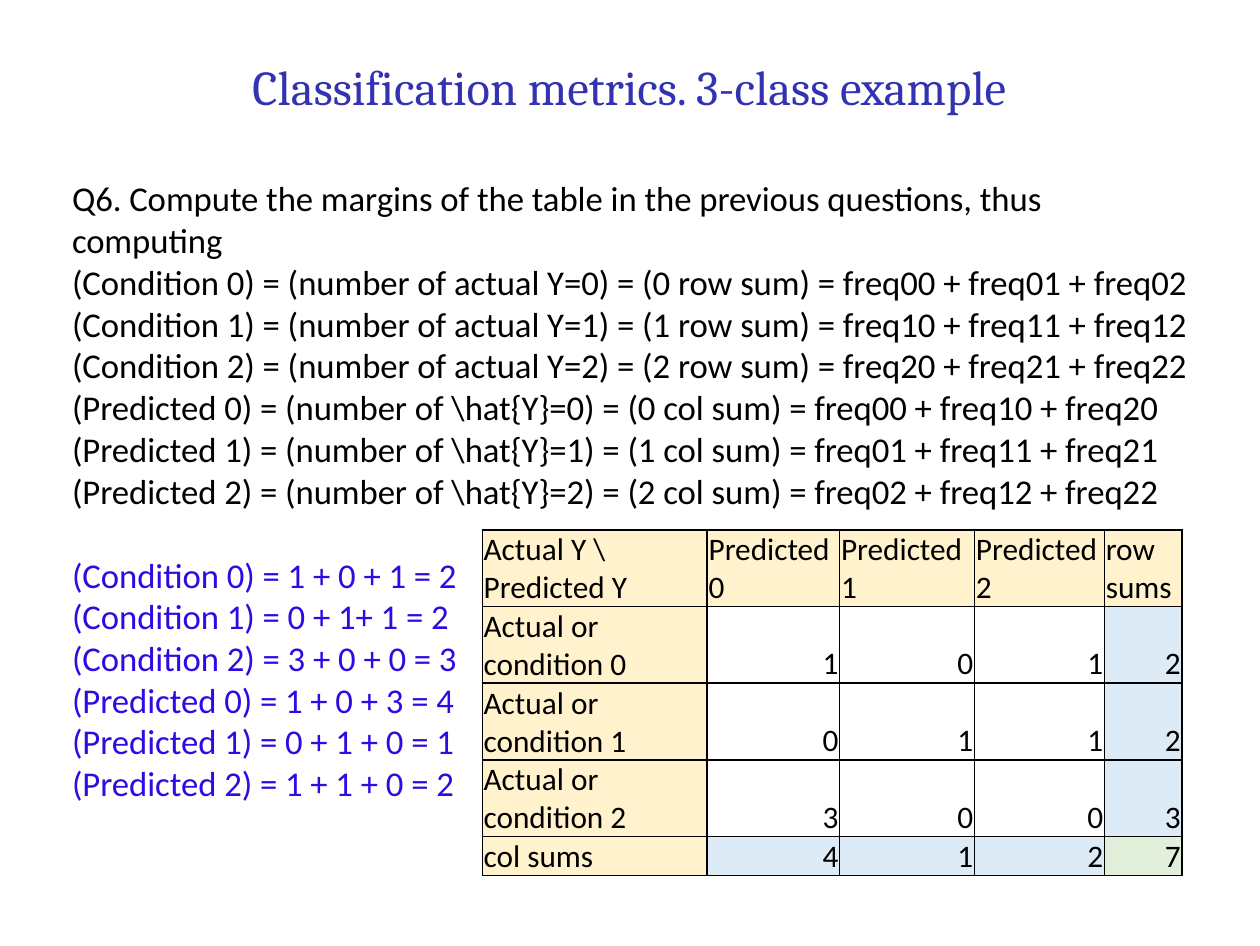
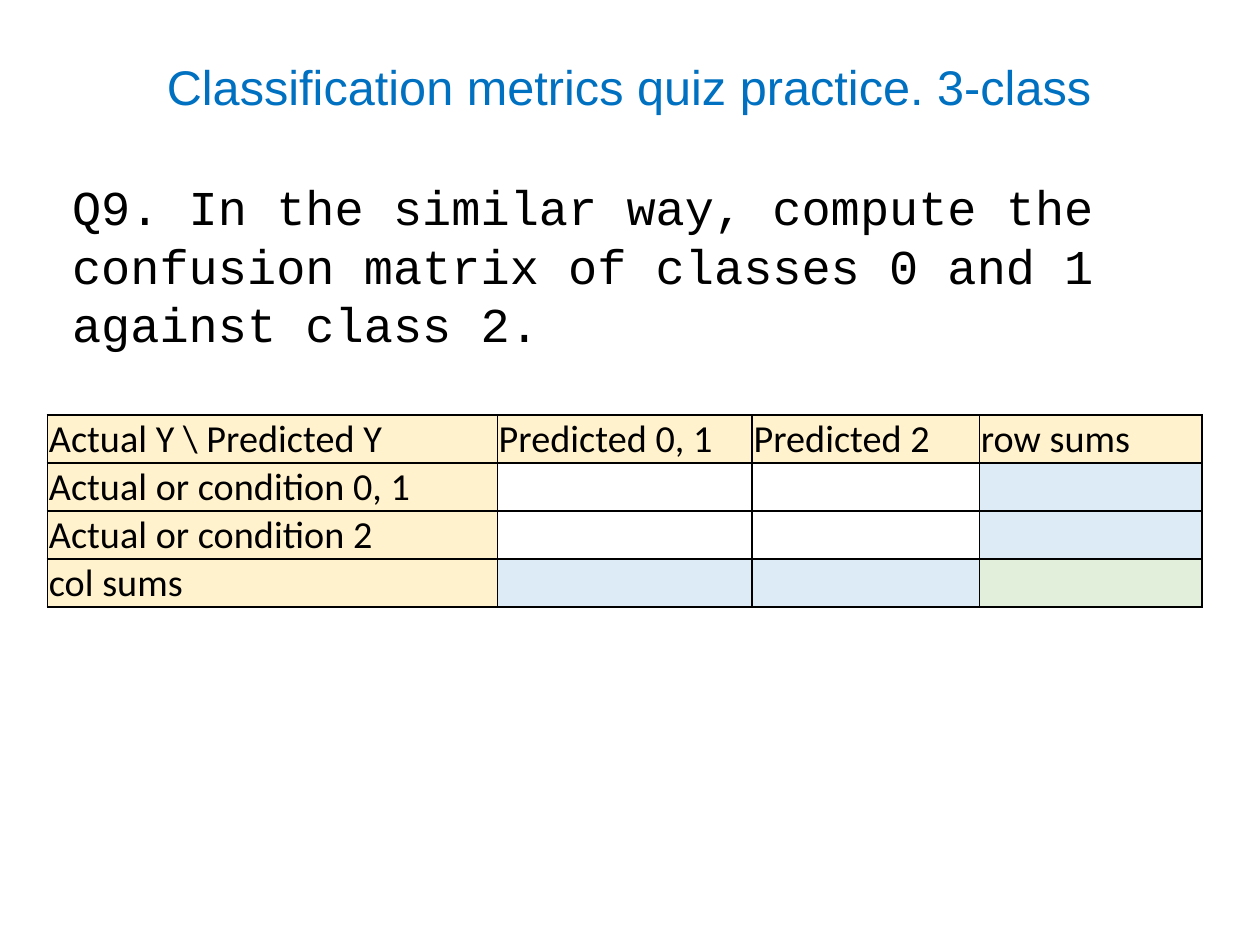
import pptx
import pptx.util
import pptx.dml.color
import pptx.enum.text
import pptx.oxml.ns
import lxml.etree

Inches, Pt = pptx.util.Inches, pptx.util.Pt
RGBColor = pptx.dml.color.RGBColor
Align = pptx.enum.text.PP_ALIGN
qn = pptx.oxml.ns.qn

BLACK = RGBColor(0x00, 0x00, 0x00)
INDIGO = RGBColor(0x33, 0x33, 0xB2)
BLUE = RGBColor(0x00, 0x70, 0xC0)
ANSWER = RGBColor(0x2F, 0x0B, 0xE3)
HEADER_FILL = RGBColor(0xFF, 0xF2, 0xCC)
SUM_FILL = RGBColor(0xDD, 0xEB, 0xF7)
TOTAL_FILL = RGBColor(0xE2, 0xEF, 0xDA)

PAGE_WIDTH, PAGE_HEIGHT = Pt(363), Pt(272.5)
CELL_INSET = Pt(0.4)
GROUP_GAP = Pt(12.2)

SLIDES = [
    {
        "title": ("Classification metrics. 3-class example", "Cambria", INDIGO),
        "body_font": ("Calibri", 10),
        "body_height": 2.79,
        "body": [
            (BLACK, [
                "Q6. Compute the margins of the table in the previous questions, thus computing",
                "(Condition 0) = (number of actual Y=0) = (0 row sum) = freq00 + freq01 + freq02",
                "(Condition 1) = (number of actual Y=1) = (1 row sum) = freq10 + freq11 + freq12",
                "(Condition 2) = (number of actual Y=2) = (2 row sum) = freq20 + freq21 + freq22",
                "(Predicted 0) = (number of \\hat{Y}=0) = (0 col sum) = freq00 + freq10 + freq20",
                "(Predicted 1) = (number of \\hat{Y}=1) = (1 col sum) = freq01 + freq11 + freq21",
                "(Predicted 2) = (number of \\hat{Y}=2) = (2 col sum) = freq02 + freq12 + freq22",
            ]),
            (ANSWER, [
                "(Condition 0) = 1 + 0 + 1 = 2",
                "(Condition 1) = 0 + 1+ 1 = 2",
                "(Condition 2) = 3 + 0 + 0 = 3",
                "(Predicted 0) = 1 + 0 + 3 = 4",
                "(Predicted 1) = 0 + 1 + 0 = 1",
                "(Predicted 2) = 1 + 1 + 0 = 2",
            ]),
        ],
        "table_at": (1.93, 2.12),
        "table_size": 9,
        "columns": [0.9, 0.53, 0.54, 0.52, 0.31],
        "rows": [0.3, 0.3, 0.3, 0.3, 0.15],
        "cells": [
            ["Actual Y \\ Predicted Y", "Predicted\n0", "Predicted\n1", "Predicted\n2", "row sums"],
            ["Actual or condition 0", "1", "0", "1", "2"],
            ["Actual or condition 1", "0", "1", "1", "2"],
            ["Actual or condition 2", "3", "0", "0", "3"],
            ["col sums", "4", "1", "2", "7"],
        ],
    },
    {
        "title": ("Classification metrics quiz practice. 3-class", "Arial", BLUE),
        "body_font": ("Courier New", 14),
        "body_height": 0.81,
        "body": [
            (BLACK, ["Q9. In the similar way, compute the confusion matrix of classes 0 and 1 against class 2."]),
        ],
        "table_at": (0.19, 1.66),
        "table_size": 11,
        "columns": [1.8, 1.02, 0.91, 0.89],
        "rows": [0.77 / 4] * 4,
        "cells": [
            ["Actual Y \\ Predicted Y", "Predicted 0, 1", "Predicted 2", "row sums"],
            ["Actual or condition 0, 1", "", "", ""],
            ["Actual or condition 2", "", "", ""],
            ["col sums", "", "", ""],
        ],
    },
]


def add_span(para, text, font, size, color):
    span = para.add_run()
    span.text = text
    span.font.name = font
    span.font.size = Pt(size)
    span.font.color.rgb = color


def add_box(page, left, top, width, height):
    frame = page.shapes.add_textbox(left, top, width, height).text_frame
    frame.word_wrap = True
    return frame


def next_para(frame, index):
    return frame.add_paragraph() if index else frame.paragraphs[0]


def add_title(page, text, font, color):
    frame = add_box(page, 0, Inches(0.23), PAGE_WIDTH, Inches(0.24))
    frame.margin_left = frame.margin_right = frame.margin_top = frame.margin_bottom = 0
    para = frame.paragraphs[0]
    para.alignment = Align.CENTER
    add_span(para, text, font, 14, color)


def add_body(page, groups, font, size, height):
    frame = add_box(page, Inches(0.19), Inches(0.66), Inches(4.7), Inches(height))
    count = 0
    for color, lines in groups:
        for position, line in enumerate(lines):
            para = next_para(frame, count)
            if count and position == 0:
                para.space_before = GROUP_GAP
            add_span(para, line, font, size, color)
            count += 1


def add_borders(cell):
    properties = cell._tc.get_or_add_tcPr()
    for side in ("a:lnL", "a:lnR", "a:lnT", "a:lnB"):
        line = lxml.etree.SubElement(properties, qn(side), w=str(Pt(0.5)))
        fill = lxml.etree.SubElement(line, qn("a:solidFill"))
        lxml.etree.SubElement(fill, qn("a:srgbClr"), val=str(BLACK))


def fill_for(row, column, last_row, last_column):
    if row == 0 or column == 0:
        return HEADER_FILL
    if row == last_row and column == last_column:
        return TOTAL_FILL
    if row == last_row or column == last_column:
        return SUM_FILL
    return None


def write_cell(cell, text, size, is_value, color):
    cell.margin_left = cell.margin_right = cell.margin_top = CELL_INSET
    cell.margin_bottom = 0
    cell.vertical_anchor = pptx.enum.text.MSO_ANCHOR.BOTTOM
    add_borders(cell)
    if color is None:
        cell.fill.background()
    else:
        cell.fill.solid()
        cell.fill.fore_color.rgb = color
    for index, line in enumerate(text.split("\n")):
        para = next_para(cell.text_frame, index)
        para.alignment = Align.RIGHT if is_value else Align.LEFT
        if line:
            add_span(para, line, "Calibri", size, BLACK)
        else:
            lxml.etree.SubElement(para._p, qn("a:endParaRPr"), sz=str(size * 100))


def add_matrix(page, at, columns, rows, cells, size):
    table = page.shapes.add_table(
        len(rows), len(columns), Inches(at[0]), Inches(at[1]), Inches(sum(columns)), Inches(sum(rows))
    ).table
    table.first_row = table.horz_banding = False
    for column, width in zip(table.columns, columns):
        column.width = Inches(width)
    for row, height in zip(table.rows, rows):
        row.height = Inches(height)
    for r, texts in enumerate(cells):
        for c, text in enumerate(texts):
            color = fill_for(r, c, len(rows) - 1, len(columns) - 1)
            write_cell(table.cell(r, c), text, size, r > 0 and c > 0, color)


def main():
    deck = pptx.Presentation()
    deck.slide_width, deck.slide_height = PAGE_WIDTH, PAGE_HEIGHT
    for content in SLIDES:
        page = deck.slides.add_slide(deck.slide_layouts[6])
        add_title(page, *content["title"])
        add_body(page, content["body"], *content["body_font"], content["body_height"])
        add_matrix(page, content["table_at"], content["columns"], content["rows"],
                   content["cells"], content["table_size"])
    deck.save("out.pptx")


if __name__ == "__main__":
    main()
